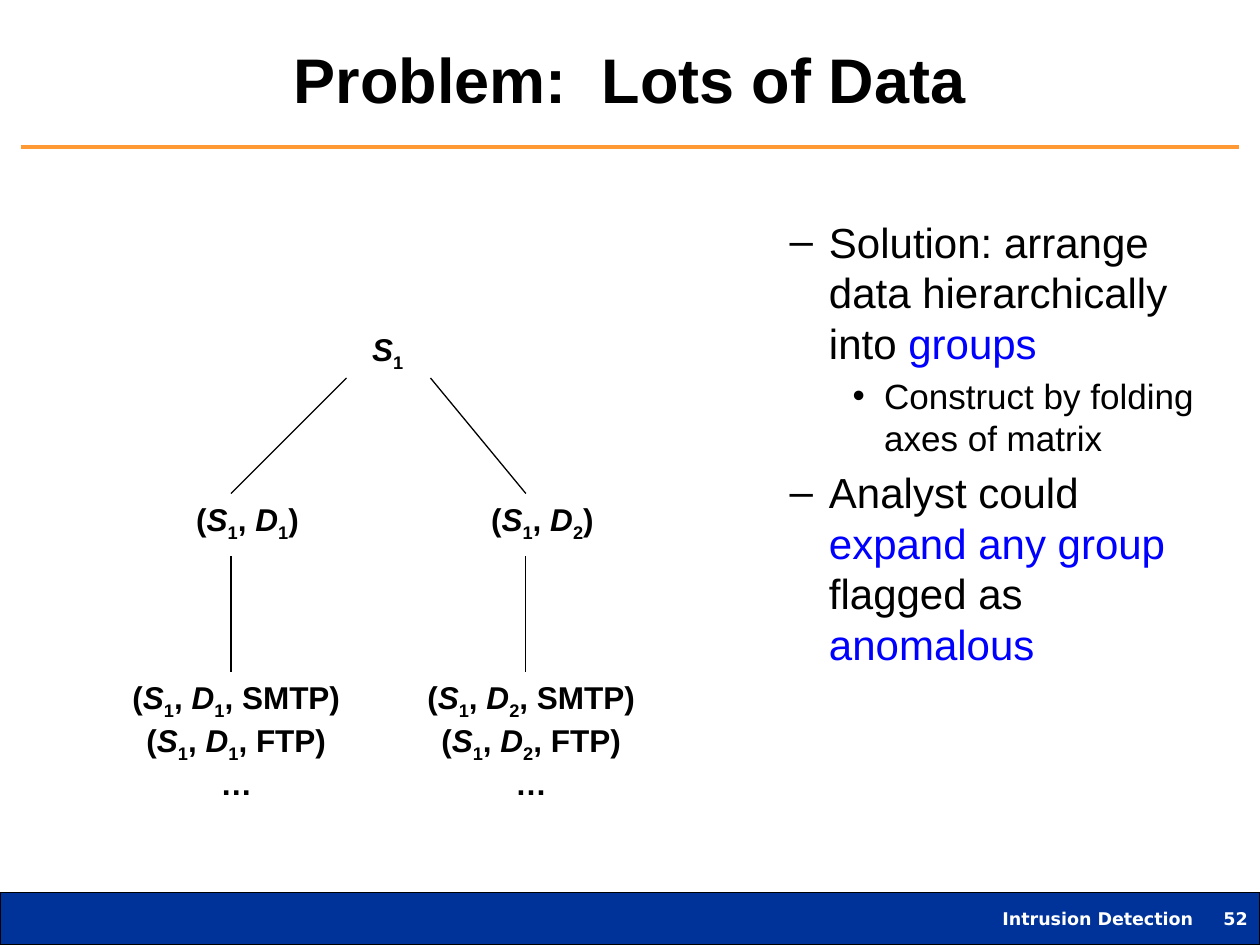
from lxml import etree
from pptx import Presentation
from pptx.dml.color import RGBColor
from pptx.enum.shapes import MSO_CONNECTOR, MSO_SHAPE
from pptx.enum.text import MSO_ANCHOR, MSO_AUTO_SIZE, PP_ALIGN
from pptx.oxml.ns import qn
from pptx.util import Pt

LEFT, CENTER, RIGHT = PP_ALIGN.LEFT, PP_ALIGN.CENTER, PP_ALIGN.RIGHT
MIDDLE, TOP = MSO_ANCHOR.MIDDLE, MSO_ANCHOR.TOP
FIXED, GROW = MSO_AUTO_SIZE.NONE, MSO_AUTO_SIZE.SHAPE_TO_FIT_TEXT

# Content
TITLE = "Problem:  Lots of Data"
FOOTER = ("Intrusion Detection", "52")
BULLETS = [  # level, then (text, is key phrase)
    (1, [("Solution: arrange data hierarchically into ", False), ("groups", True)]),
    (2, [("Construct by folding axes of matrix", False)]),
    (1, [("Analyst could ", False), ("expand any group ", True),
         ("flagged as ", False), ("anomalous", True)]),
]
SOURCE = ("S", "1")
DESTINATIONS = [("D", "1"), ("D", "2")]
SERVICES = ["SMTP", "FTP"]

THEME = {
    "font": "Arial", "footer_font": "DejaVu Sans",
    "ink": RGBColor(0, 0, 0), "key": RGBColor(0, 0, 255),
    "paper": RGBColor(255, 255, 255), "bar": RGBColor(0, 0x33, 0x99),
    "rule": RGBColor(0xFF, 0x99, 0x33),
    "title": Pt(36), "levels": {1: Pt(24), 2: Pt(20)},
    "node": Pt(18), "footer": Pt(10),
}

# Tree geometry, in points
COLUMN_GAP = 168.5
STEM_X = 132
ROOT_BOX = (202.3, 185, 35.3, 28.8)
PAIR_BOX = (102.2, 282.2, 75.6, 28.8)
LEAF_BOX = (67, 383.8, 136, 72.7)
ROOT_EXITS = (198, 246)
ROOT_BOTTOM, PAIR_TOP, PAIR_BOTTOM, LEAF_TOP = 216, 282, 318, 384


def add_span(para, text, size, color="ink", font="font", bold=False,
             italic=False, subscript=False):
    span = para.add_run()
    span.text = text
    values = {"name": THEME[font], "size": size, "bold": bold, "italic": italic}
    for name, value in values.items():
        setattr(span.font, name, value)
    span.font.color.rgb = THEME[color]
    if subscript:
        span.font._element.set("baseline", "-25000")


def place(shape, box):
    for name, value in zip(("left", "top", "width", "height"), box):
        setattr(shape, name, Pt(value))


def set_frame(frame, anchor=TOP, wrap=True, fit=FIXED):
    values = {"vertical_anchor": anchor, "word_wrap": wrap, "auto_size": fit}
    for name, value in values.items():
        setattr(frame, name, value)


def add_line(page, start, end, color="ink", width=0.75):
    points = [Pt(value) for value in (*start, *end)]
    line = page.shapes.add_connector(MSO_CONNECTOR.STRAIGHT, *points)
    line.line.color.rgb = THEME[color]
    line.line.width = Pt(width)
    etree.SubElement(line._element.spPr, qn("a:effectLst"))


def tuple_spans(symbols, service=None):
    """Spans of a group such as (S1, D1, SMTP), as text and style."""
    spans = [("(", {})]
    for index, (letter, number) in enumerate(symbols):
        if index:
            spans.append((", ", {}))
        spans += [(letter, {"italic": True}), (number, {"subscript": True})]
    spans.append((f", {service})" if service else ")", {}))
    return spans


def add_node(page, box, lines, align):
    node = page.shapes.add_textbox(*[Pt(value) for value in box])
    frame = node.text_frame
    set_frame(frame, wrap=False, fit=GROW)
    for index, spans in enumerate(lines):
        para = frame.add_paragraph() if index else frame.paragraphs[0]
        para.alignment = align
        for text, style in spans:
            add_span(para, text, THEME["node"], bold=True, **style)


def add_footer(page):
    bar = page.shapes.add_shape(MSO_SHAPE.RECTANGLE, 0, Pt(510), Pt(720), Pt(30))
    bar.shadow.inherit = False
    bar.fill.solid()
    bar.fill.fore_color.rgb = THEME["bar"]
    bar.line.color.rgb = THEME["ink"]
    bar.line.width = Pt(0.75)
    frame = bar.text_frame
    set_frame(frame, MIDDLE)
    frame.margin_left = frame.margin_right = 0
    para = frame.paragraphs[0]
    para.alignment = LEFT
    # Right-aligned tab stops for the name and the page number
    stops = etree.SubElement(para._p.get_or_add_pPr(), qn("a:tabLst"))
    for position in (681.7, 713):
        etree.SubElement(stops, qn("a:tab"), pos=str(Pt(position)), algn="r")
    add_span(para, "".join("\t" + part for part in FOOTER), THEME["footer"],
             "paper", "footer_font", bold=True)


def add_title(page):
    title = page.shapes.title
    place(title, (18, 12, 684, 66))
    set_frame(title.text_frame, MIDDLE)
    para = title.text_frame.paragraphs[0]
    para.alignment = CENTER
    add_span(para, TITLE, THEME["title"], bold=True)


def add_body(page):
    body = page.placeholders[1]
    place(body, (408, 120, 300, 324))
    frame = body.text_frame
    set_frame(frame)
    for index, (level, spans) in enumerate(BULLETS):
        para = frame.add_paragraph() if index else frame.paragraphs[0]
        size = THEME["levels"][level]
        para.level = level
        para.space_before = Pt(size.pt * 0.2)
        for text, is_key in spans:
            add_span(para, text, size, "key" if is_key else "ink")


def add_tree(page):
    root = [(SOURCE[0], {"italic": True}), (SOURCE[1], {"subscript": True})]
    add_node(page, ROOT_BOX, [root], RIGHT)
    for column, destination in enumerate(DESTINATIONS):
        shift = column * COLUMN_GAP
        symbols = (SOURCE, destination)
        leaves = [tuple_spans(symbols, service) for service in SERVICES]
        leaves.append([("…", {})])
        for box, lines, align in ((PAIR_BOX, [tuple_spans(symbols)], RIGHT),
                                  (LEAF_BOX, leaves, CENTER)):
            add_node(page, (box[0] + shift, *box[1:]), lines, align)
        stem = STEM_X + shift
        add_line(page, (ROOT_EXITS[column], ROOT_BOTTOM), (stem, PAIR_TOP))
        add_line(page, (stem, PAIR_BOTTOM), (stem, LEAF_TOP))


def main():
    deck = Presentation()
    deck.slide_width, deck.slide_height = Pt(720), Pt(540)
    page = deck.slides.add_slide(deck.slide_layouts[1])
    page.background.fill.solid()
    page.background.fill.fore_color.rgb = THEME["paper"]
    add_footer(page)
    add_line(page, (12, 84), (708, 84), "rule", 2.25)
    add_title(page)
    add_body(page)
    add_tree(page)
    deck.save("out.pptx")


if __name__ == "__main__":
    main()
